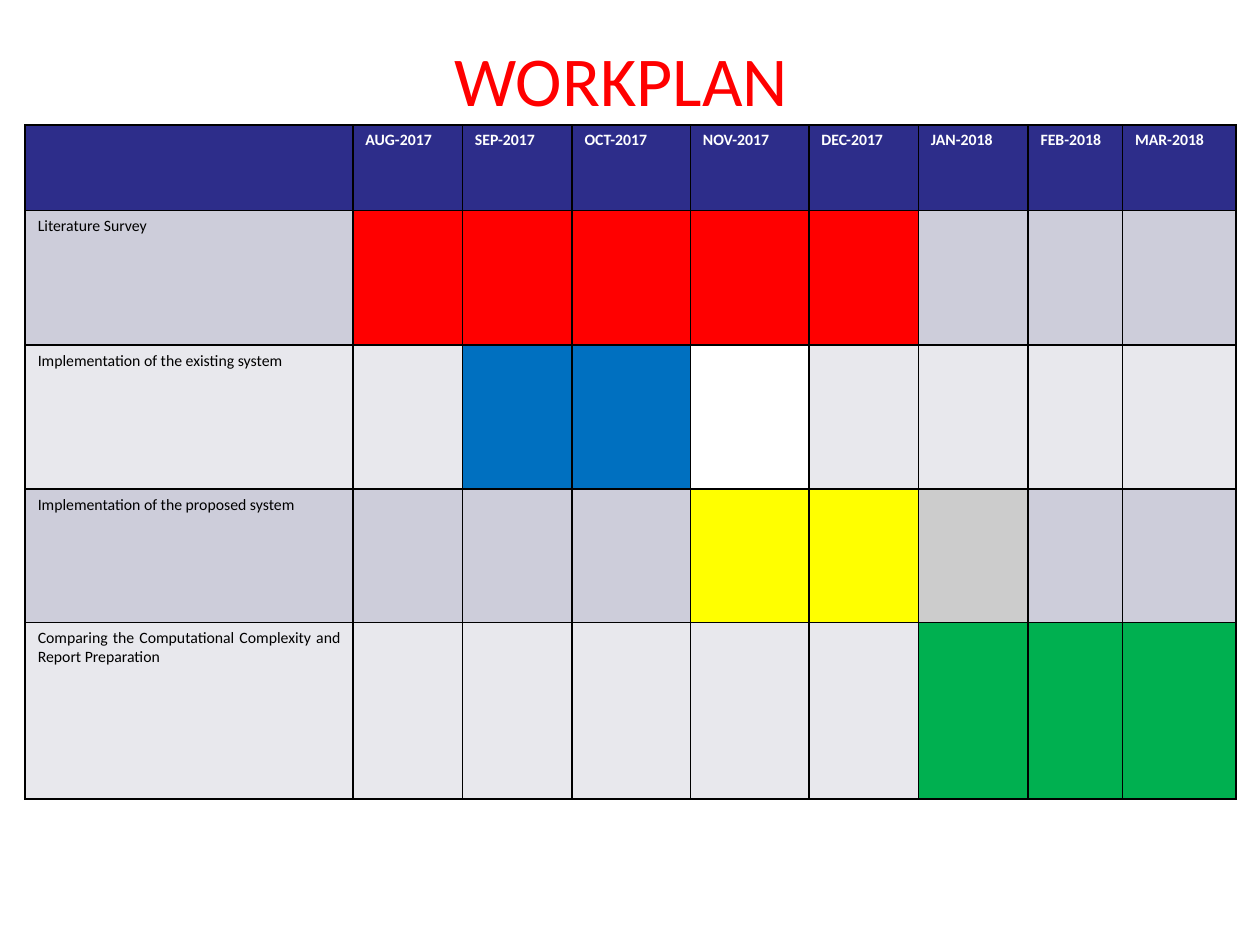
from lxml.etree import SubElement
from pptx import Presentation
from pptx.dml.color import RGBColor
from pptx.enum.text import MSO_ANCHOR, PP_ALIGN
from pptx.oxml.ns import qn
from pptx.util import Inches, Pt

BLACK = RGBColor(0, 0, 0)
WHITE = RGBColor(255, 255, 255)
RED = RGBColor(255, 0, 0)
BLUE = RGBColor(0x00, 0x70, 0xC0)
YELLOW = RGBColor(255, 255, 0)
GREEN = RGBColor(0x00, 0xB0, 0x50)
GREY = RGBColor(0xCC, 0xCC, 0xCC)
NAVY = RGBColor(0x2D, 0x2D, 0x8A)
BANDS = (RGBColor(0xCD, 0xCD, 0xDA), RGBColor(0xE8, 0xE8, 0xED))

MONTHS = ["AUG-2017", "SEP-2017", "OCT-2017", "NOV-2017",
          "DEC-2017", "JAN-2018", "FEB-2018", "MAR-2018"]
TASKS = [
    ("Literature Survey", dict.fromkeys(MONTHS[:5], RED)),
    ("Implementation of the existing system",
     {"SEP-2017": BLUE, "OCT-2017": BLUE, "NOV-2017": WHITE}),
    ("Implementation of the proposed system",
     {"NOV-2017": YELLOW, "DEC-2017": YELLOW, "JAN-2018": GREY}),
    ("Comparing the Computational Complexity and Report Preparation",
     dict.fromkeys(MONTHS[5:], GREEN)),
]
COLUMN_WIDTHS = [2.6, 0.87, 0.87, 0.94, 0.94, 0.87, 0.87, 0.75, 0.9]
ROW_HEIGHTS = [0.68, 1.07, 1.14, 1.06, 1.4]


def write(frame, text, size=9, color=BLACK, bold=False, align=PP_ALIGN.JUSTIFY):
    paragraph = frame.paragraphs[0]
    paragraph.alignment = align
    run = paragraph.add_run()
    run.text = text
    run.font.name = "Calibri"
    run.font.size = Pt(size)
    run.font.bold = bold
    run.font.color.rgb = color


def paint(cell, color):
    properties = cell._tc.get_or_add_tcPr()
    for side in ("a:lnL", "a:lnR", "a:lnT", "a:lnB"):
        border = SubElement(properties, qn(side), w=str(Pt(1)))
        SubElement(SubElement(border, qn("a:solidFill")), qn("a:srgbClr"), val=str(BLACK))
    cell.fill.solid()
    cell.fill.fore_color.rgb = color


presentation = Presentation()
presentation.slide_width, presentation.slide_height = Inches(10), Inches(7.5)
slide = presentation.slides.add_slide(presentation.slide_layouts[6])

heading = slide.shapes.add_textbox(Inches(0.43), 0, Inches(9), Inches(1.25)).text_frame
heading.word_wrap = True
heading.vertical_anchor = MSO_ANCHOR.MIDDLE
write(heading, "WORKPLAN", size=40, color=RED, align=PP_ALIGN.CENTER)

schedule = slide.shapes.add_table(
    len(ROW_HEIGHTS), len(COLUMN_WIDTHS), Inches(0.2), Inches(0.99),
    Inches(sum(COLUMN_WIDTHS)), Inches(sum(ROW_HEIGHTS))).table
schedule.horz_banding = False
for column, width in zip(schedule.columns, COLUMN_WIDTHS):
    column.width = Inches(width)
for row, height in zip(schedule.rows, ROW_HEIGHTS):
    row.height = Inches(height)

paint(schedule.cell(0, 0), NAVY)
for c, month in enumerate(MONTHS, 1):
    paint(schedule.cell(0, c), NAVY)
    write(schedule.cell(0, c).text_frame, month, color=WHITE, bold=True)

for r, (task, periods) in enumerate(TASKS, 1):
    band = BANDS[(r - 1) % 2]
    paint(schedule.cell(r, 0), band)
    write(schedule.cell(r, 0).text_frame, task)
    for c, month in enumerate(MONTHS, 1):
        paint(schedule.cell(r, c), periods.get(month, band))

presentation.save("out.pptx")
